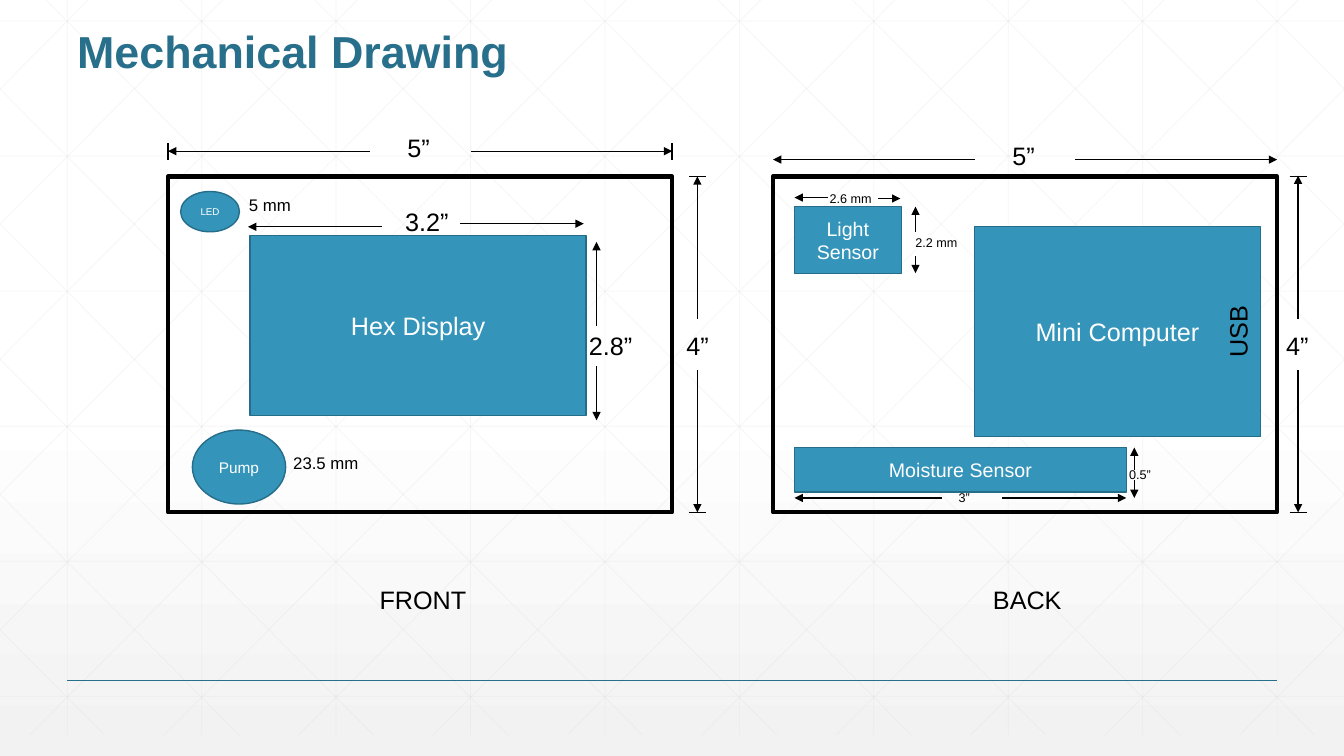
"""Build the mechanical drawing slide on a grid of 80 columns by 45 rows."""
from lxml.etree import SubElement
from pptx import Presentation
from pptx.dml.color import RGBColor
from pptx.enum.shapes import MSO_CONNECTOR as Link, MSO_SHAPE as Form
from pptx.enum.text import MSO_ANCHOR as Anchor, PP_ALIGN as Align
from pptx.oxml.ns import qn
from pptx.util import Inches, Pt

BLACK = RGBColor(0x00, 0x00, 0x00)
WHITE = RGBColor(0xFF, 0xFF, 0xFF)
PALE = RGBColor(0xF2, 0xF2, 0xF2)
GREY = RGBColor(0xD9, 0xD9, 0xD9)
BLUE = RGBColor(0x34, 0x94, 0xBA)
EDGE = RGBColor(0x26, 0x6D, 0x8A)
TEAL = RGBColor(0x27, 0x6F, 0x8B)

COLS, ROWS = 80, 45
deck = Presentation()
deck.slide_width = Inches(13.33)
deck.slide_height = Inches(7.5)
slide = deck.slides.add_slide(deck.slide_layouts[6])
unit = deck.slide_height / ROWS


def grid(*cells):
    return [round(cell * unit) for cell in cells]


def write(text, at, form=None, size=18, color=BLACK, bold=False, turn=0, space=1.0):
    if form:
        box = slide.shapes.add_shape(form, *grid(*at))
        box.shadow.inherit = False
        box.fill.solid()
        box.fill.fore_color.rgb = BLUE
        box.line.color.rgb = EDGE
        box.line.width = Pt(1)
    else:
        box = slide.shapes.add_textbox(*grid(*at))
    box.rotation = turn
    frame = box.text_frame
    frame.word_wrap = bool(form)
    frame.vertical_anchor = Anchor.MIDDLE if form else Anchor.TOP
    par = frame.paragraphs[0]
    par.alignment = Align.CENTER if form else Align.LEFT
    par.line_spacing = space
    run = par.add_run()
    run.text = text
    run.font.name = "Arial"
    run.font.size = Pt(size)
    run.font.bold = bold
    run.font.color.rgb = color


back = slide.background.fill
back.gradient()
back.gradient_angle = 270
for stop, place, color in zip(back.gradient_stops, (0.53, 1), (WHITE, PALE)):
    stop.position = place
    stop.color.rgb = color

STEP = COLS / 10
TOP, LOW = -1.25, 43.75
SLOPE = 1.006
mesh = [(4 + STEP * i, TOP, 4 + STEP * i, LOW) for i in range(10)]
mesh += [(0, 1.25 + 8.04 * i, COLS, 1.25 + 8.04 * i) for i in range(6)]
for i in range(-5, 10):
    start = 1.5 + STEP * i
    left = max(start, 0)
    right = min(start + (LOW - TOP) / SLOPE, COLS)
    high = TOP + (left - start) * SLOPE
    deep = TOP + (right - start) * SLOPE
    mesh += [(left, high, right, deep), (COLS - left, high, COLS - right, deep)]

across = [
    (10, 22, 28, 40, 9, 9),
    (46, 58, 64, 76, 9.5, 9.5),
    (14.76, 22.74, 27.36, 34.74, 13.5, 13.32),
    (47.28, 49.26, 52.26, 53.58, 11.76, 11.82),
    (47.28, 56.04, 59.64, 67.02, 29.64, 29.64),
]
down = [
    (10.5, 19, 22, 30.5, 41.5),
    (10.45, 19, 22, 30.5, 77.25),
    (14.4, 19.38, 21.78, 25.02, 35.5),
    (12.3, 13.8, 15.24, 16.26, 54.48),
    (26.64, 27.96, 28.56, 29.64, 67.5),
]
arrows = []
for a, b, c, d, y, z in across:
    arrows += [(a, y, b, y), (d, z, c, z)]
for a, b, c, d, x in down:
    arrows += [(x, a, x, b), (x, d, x, c)]
ticks = [(x, 8.5, x, 9.5) for x in (10, 40)]
ticks += [(x - 0.5, y, x + 0.5, y) for x in (41.5, 77.25) for y in (10.5, 30.5)]

groups = [
    (mesh, GREY, 0.5, "mesh"),
    ([(4, 40.5, 76, 40.5)], TEAL, 1, "rule"),
    (ticks, BLACK, 1, "tick"),
    (arrows, BLACK, 1, "arrow"),
]
for lines, color, width, kind in groups:
    for ends in lines:
        link = slide.shapes.add_connector(Link.STRAIGHT, *grid(*ends))
        link.line.color.rgb = color
        link.line.width = Pt(width)
        props = link._element.spPr
        SubElement(props, qn("a:effectLst"))
        if kind == "mesh":
            tint = props.find(".//" + qn("a:srgbClr"))
            SubElement(tint, qn("a:alpha"), val="25000")
        if kind == "arrow":
            SubElement(props.find(qn("a:ln")), qn("a:headEnd"), type="triangle")

for left in (10, 46):
    panel = slide.shapes.add_shape(Form.RECTANGLE, *grid(left, 10.5, 30, 20))
    panel.shadow.inherit = False
    panel.fill.background()
    panel.line.color.rgb = BLACK
    panel.line.width = Pt(3)

parts = [
    ("Hex Display", (14.88, 14, 20, 10.75), Form.RECTANGLE, 18),
    ("Pump", (11.45, 25.6, 5.55, 4.4), Form.OVAL, 11),
    ("LED", (10.75, 11.4, 3.5, 2.4), Form.OVAL, 7),
    ("Mini Computer", (58, 13.5, 17, 12.5), Form.RECTANGLE, 18),
    ("Light Sensor", (47.28, 12.3, 6.36, 4), Form.RECTANGLE, 14),
    ("Moisture Sensor", (47.28, 26.64, 19.75, 2.64), Form.RECTANGLE, 14),
]
for text, at, form, size in parts:
    write(text, at, form=form, size=size, color=WHITE)

labels = [
    ("FRONT", (22, 34.5, 6.4, 2.4), 18),
    ("BACK", (58.5, 34.5, 5.35, 2.4), 18),
    ("5”", (23.65, 7.56, 2.6, 2.4), 18),
    ("5”", (59.65, 8.04, 2.6, 2.4), 18),
    ("4”", (40.25, 19.38, 2.6, 2.4), 18),
    ("4”", (75.95, 19.38, 2.6, 2.4), 18),
    ("3.2”", (23.52, 12, 3.85, 2.4), 18),
    ("2.8”", (34.45, 19.38, 3.85, 2.4), 18),
    ("23.5 mm", (16.86, 26.64, 5.15, 1.8), 12),
    ("5 mm", (14.22, 11.28, 3.7, 1.8), 12),
    ("2.6 mm", (48.78, 11.04, 3.7, 1.5), 9),
    ("2.2 mm", (53.88, 13.68, 3.7, 1.5), 9),
    ("3”", (56.46, 28.86, 1.9, 1.5), 9),
    ("0.5”", (66.6, 27.48, 2.5, 1.5), 9),
]
for text, at, size in labels:
    write(text, at, size=size)
write("USB", (71.5, 18.5, 4.3, 2.4), turn=270)
write("Mechanical Drawing", (4, 1.5, 72, 6), size=32, color=TEAL, bold=True, space=0.9)

deck.save("out.pptx")
